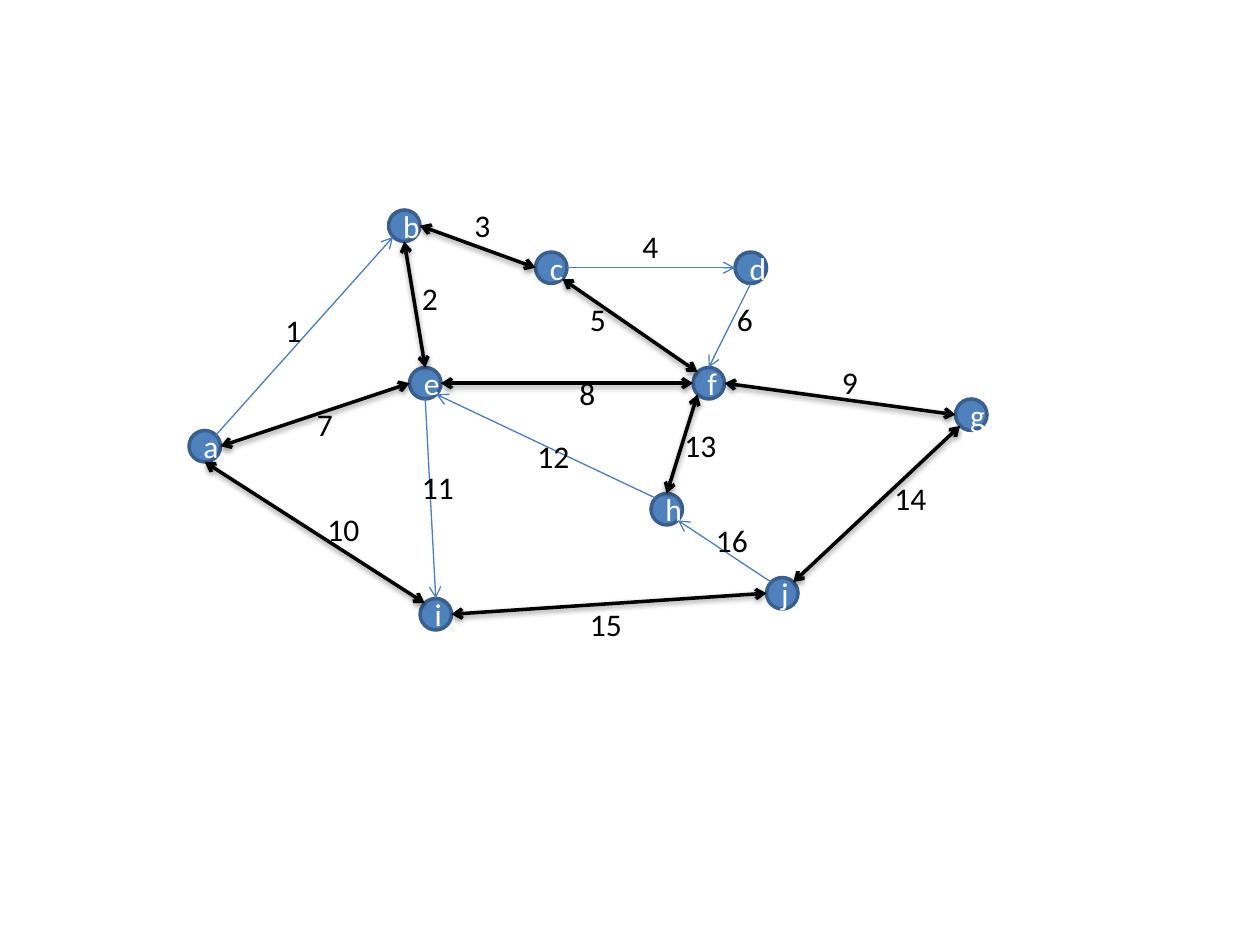
"""Build a slide with a network of ten nodes and sixteen numbered edges."""
from math import cos, radians, sin

from pptx import Presentation
from pptx.dml.color import RGBColor
from pptx.enum.shapes import MSO_CONNECTOR as Connector, MSO_SHAPE as Preset
from pptx.enum.text import MSO_ANCHOR as Anchor, MSO_AUTO_SIZE as AutoSize, PP_ALIGN as Align
from pptx.oxml import parse_xml
from pptx.oxml.ns import nsdecls, qn
from pptx.util import Cm, Pt

BLUE = RGBColor(0x4F, 0x81, 0xBD)
DARK_BLUE = RGBColor(0x3A, 0x5F, 0x8C)
EDGE_BLUE = RGBColor(0x4B, 0x7E, 0xBC)
BLACK = RGBColor(0, 0, 0)
WHITE = RGBColor(0xFF, 0xFF, 0xFF)

TOP, TOP_LEFT, LEFT, BOTTOM_LEFT, BOTTOM, BOTTOM_RIGHT, RIGHT, TOP_RIGHT = range(0, 360, 45)

SHADOW = (
    '<a:outerShdw blurRad="40000" dist="20000" dir="5400000" rotWithShape="0">'
    '<a:srgbClr val="000000"><a:alpha val="38000"/></a:srgbClr></a:outerShdw>'
)

NODES = {
    "a": (18, 41), "b": (37, 20), "c": (51, 24), "e": (39, 35), "h": (62, 47),
    "d": (70, 24), "i": (40, 57), "f": (66, 35), "j": (73, 55), "g": (91, 38),
}

EDGES = [
    ("a", TOP_RIGHT, "b", BOTTOM_LEFT, False, (26, 29)),
    ("b", BOTTOM, "e", TOP, True, (39, 26)),
    ("b", RIGHT, "c", LEFT, True, (44, 19)),
    ("c", RIGHT, "d", LEFT, False, (60, 21)),
    ("c", BOTTOM_RIGHT, "f", TOP_LEFT, True, (55, 28)),
    ("d", BOTTOM, "f", TOP, False, (69, 28)),
    ("a", RIGHT, "e", LEFT, True, (29, 38)),
    ("e", RIGHT, "f", LEFT, True, (54, 35)),
    ("g", LEFT, "f", RIGHT, True, (79, 34)),
    ("a", BOTTOM, "i", TOP_LEFT, True, (30, 48)),
    ("e", BOTTOM, "i", TOP, False, (39, 44)),
    ("h", TOP_LEFT, "e", BOTTOM_RIGHT, False, (50, 41)),
    ("f", BOTTOM_LEFT, "h", TOP, True, (64, 40)),
    ("g", BOTTOM_LEFT, "j", TOP_RIGHT, True, (84, 45)),
    ("j", LEFT, "i", RIGHT, True, (55, 57)),
    ("j", TOP_LEFT, "h", BOTTOM_RIGHT, False, (67, 49)),
]


class GraphPage:
    """Hold the style and the current page of the graph."""

    font = "Calibri"
    size = Pt(18)
    unit = 2.54 / 12
    diameter = 3

    def __init__(self, page):
        """Start drawing on the given page."""
        self.page = page

    def grid(self, *values):
        """Turn grid steps into lengths."""
        return [Cm(value * self.unit) for value in values]

    def add_text(self, frame, text, color):
        """Put one run of text into a frame and return its paragraph."""
        para = frame.paragraphs[0]
        span = para.add_run()
        span.text = text
        span.font.name = self.font
        span.font.size = self.size
        span.font.color.rgb = color
        return para

    def node(self, name, left, top):
        """Add a lettered circle."""
        circle = self.page.shapes.add_shape(
            Preset.OVAL, *self.grid(left, top, self.diameter, self.diameter))
        circle.shadow.inherit = False
        circle.fill.solid()
        circle.fill.fore_color.rgb = BLUE
        circle.line.color.rgb = DARK_BLUE
        circle.line.width = Pt(2)
        circle.text_frame.vertical_anchor = Anchor.MIDDLE
        self.add_text(circle.text_frame, name, WHITE).alignment = Align.CENTER

    def rim(self, name, angle):
        """Find the point on a node's rim, counted anticlockwise from the top."""
        left, top = NODES[name]
        radius = self.diameter / 2
        turn = radians(angle)
        return self.grid(left + radius * (1 - sin(turn)), top + radius * (1 - cos(turn)))

    def edge(self, start, start_angle, end, end_angle, two_way):
        """Add an arrow between two nodes, bold and shadowed if it runs both ways."""
        arrow = self.page.shapes.add_connector(
            Connector.STRAIGHT, *self.rim(start, start_angle), *self.rim(end, end_angle))
        arrow.line.color.rgb = BLACK if two_way else EDGE_BLUE
        arrow.line.width = Pt(2 if two_way else 0.75)
        properties = arrow._element.spPr
        outline = properties.find(qn("a:ln"))
        for tip in ("headEnd", "tailEnd") if two_way else ("tailEnd",):
            outline.append(parse_xml(f'<a:{tip} {nsdecls("a")} type="arrow"/>'))
        effect = SHADOW if two_way else ""
        properties.append(parse_xml(f'<a:effectLst {nsdecls("a")}>{effect}</a:effectLst>'))

    def label(self, text, left, top):
        """Add an edge number."""
        width, height = (4, 5) if len(text) == 1 else (6, 4.8)
        box = self.page.shapes.add_textbox(*self.grid(left, top, width, height))
        box.text_frame.word_wrap = True
        box.text_frame.auto_size = AutoSize.SHAPE_TO_FIT_TEXT
        self.add_text(box.text_frame, text, BLACK)


def main():
    """Draw the graph and save the deck."""
    deck = Presentation()
    deck.slide_width, deck.slide_height = Cm(25.4), Cm(19.05)
    graph = GraphPage(deck.slides.add_slide(deck.slide_layouts[6]))
    for name, place in NODES.items():
        graph.node(name, *place)
    for *ends, _ in EDGES:
        graph.edge(*ends)
    for number, (*_, place) in enumerate(EDGES, start=1):
        graph.label(str(number), *place)
    deck.save("out.pptx")


if __name__ == "__main__":
    main()
